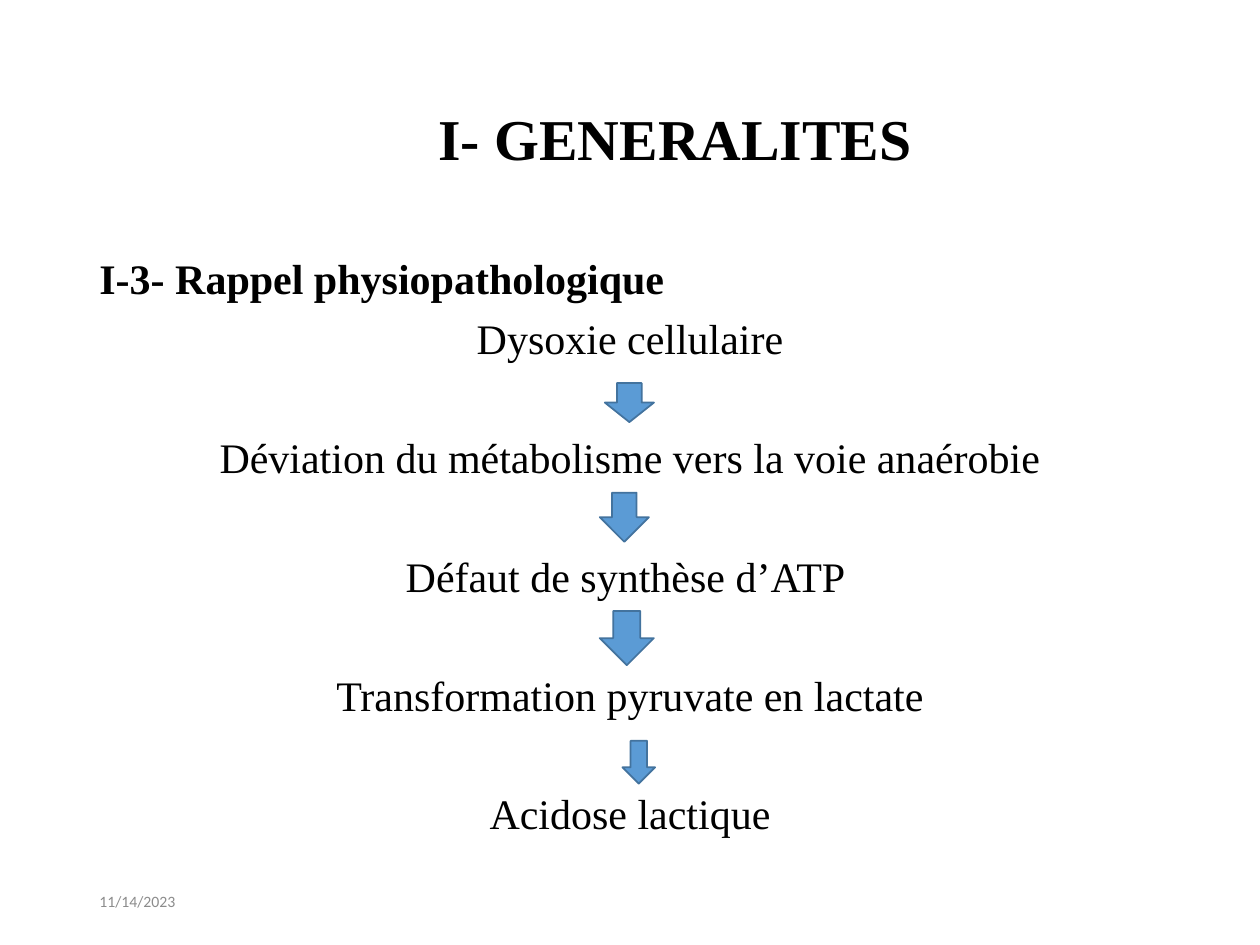
from pptx import Presentation
from pptx.dml.color import RGBColor as Rgb
from pptx.enum.shapes import MSO_SHAPE as Kind
from pptx.enum.text import MSO_ANCHOR as Anchor, PP_ALIGN as Align
from pptx.util import Inches, Pt


class Theme:
    serif, sans = "Times New Roman", "Calibri"
    black, grey = Rgb.from_string("000000"), Rgb.from_string("8C8C8C")
    blue, edge = Rgb.from_string("5B9BD5"), Rgb.from_string("43739E")
    title, body, date = Pt(33), Pt(24), Pt(9)
    tight = 0.9


deck = Presentation()
deck.slide_width, deck.slide_height = Inches(10), Inches(7.5)
slide = deck.slides.add_slide(deck.slide_layouts[6])
shapes = slide.shapes
left, width = 0.69, 8.62


def add_box(x, y, w, h, anchor):
    frame = shapes.add_textbox(*map(Inches, (x, y, w, h))).text_frame
    frame.word_wrap = True
    frame.vertical_anchor = anchor
    return frame


def add_run(para, text, size, face=Theme.serif, color=Theme.black, bold=False):
    run = para.add_run()
    run.text = text
    font = run.font
    font.size, font.name, font.bold = size, face, bold
    font.color.rgb = color


# Title, set in from the left edge of its box
title = add_box(left, 0.4, width, 1.45, Anchor.MIDDLE)
title.margin_left = Inches(2.79)
head = title.paragraphs[0]
head.line_spacing = Theme.tight
add_run(head, "I- GENERALITES", Theme.title, bold=True)

# Heading, then the chain of steps with room for an arrow between them
body = add_box(left, 2, width, 4.76, Anchor.TOP)
head = body.paragraphs[0]
head.line_spacing = Theme.tight
add_run(head, "I-3- Rappel physiopathologique", Theme.body, bold=True)

steps = [
    "Dysoxie cellulaire",
    "Déviation du métabolisme vers la voie anaérobie",
    "Défaut de synthèse d’ATP ",
    "Transformation pyruvate en lactate",
    "Acidose lactique",
]
for i, step in enumerate(steps):
    para = body.add_paragraph()
    para.alignment = Align.CENTER
    para.line_spacing = Theme.tight
    para.space_before = Pt(42 if i else 8.4)
    add_run(para, step, Theme.body)

date = add_box(left, 6.95, 2.25, 0.4, Anchor.MIDDLE)
add_run(date.paragraphs[0], "11/14/2023", Theme.date, Theme.sans, Theme.grey)

# One arrow from each step to the next: left, top, width, height
arrows = [
    (4.8, 3.04, 0.39, 0.31),
    (4.76, 3.91, 0.39, 0.39),
    (4.76, 4.85, 0.43, 0.43),
    (4.94, 5.88, 0.26, 0.34),
]
for place in arrows:
    arrow = shapes.add_shape(Kind.DOWN_ARROW, *map(Inches, place))
    arrow.shadow.inherit = False
    arrow.fill.solid()
    arrow.fill.fore_color.rgb = Theme.blue
    arrow.line.color.rgb = Theme.edge
    arrow.line.width = Pt(1)

deck.save("out.pptx")
